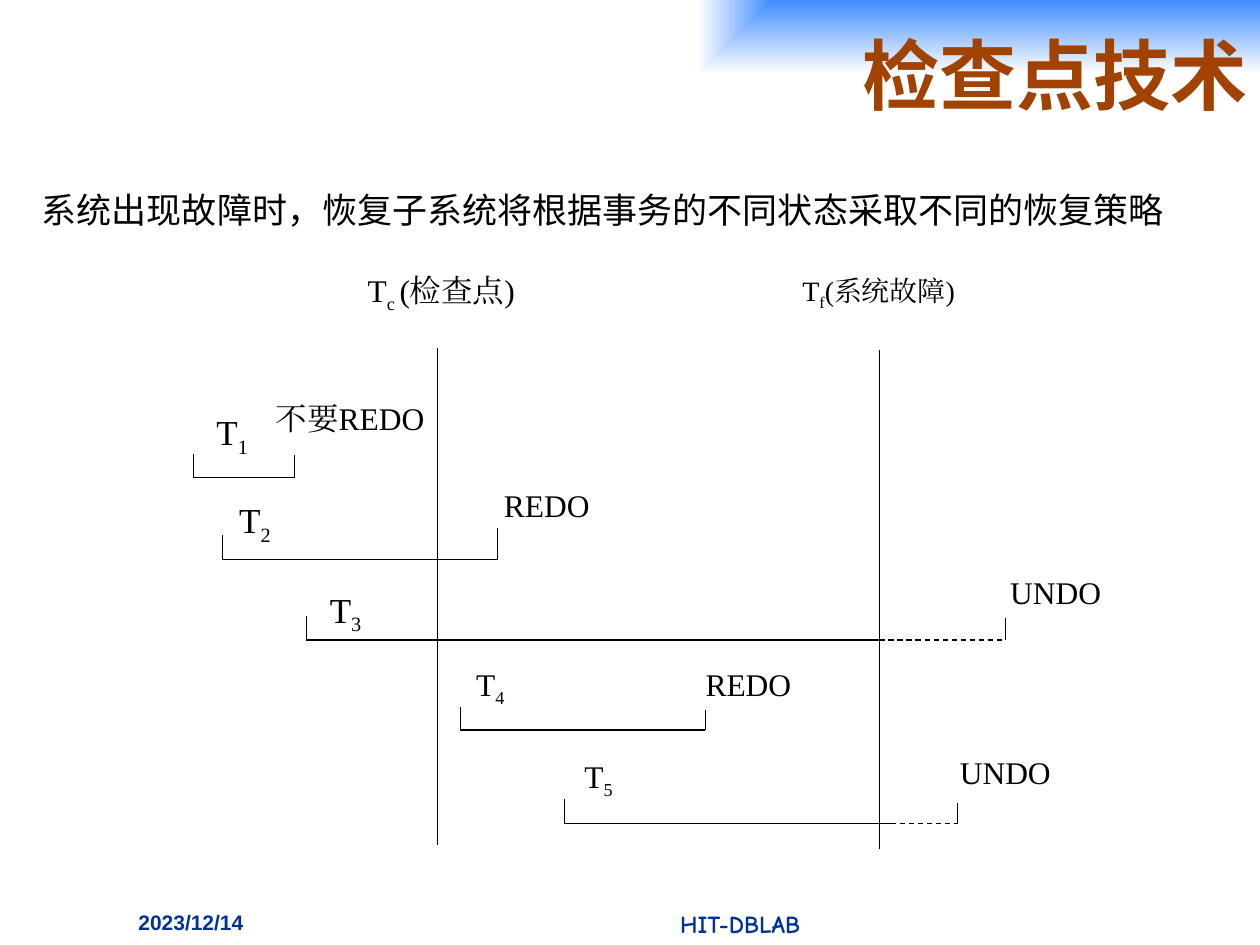
from lxml import etree
from pptx import Presentation
from pptx import util as u
from pptx.dml import color
from pptx.enum import dml, shapes, text
from pptx.oxml import ns, parse_xml

SERIF = "Times New Roman"
BLACK, BROWN, NAVY = "000000", "A24200", "003399"
ALIGN = text.PP_ALIGN

# name, start, solid end, end, baseline, start tick top, end tick top
TRANSACTIONS = [
    ("T1", 110.5, 168.2, 168.2, 273, 259.5, 260),
    ("T2", 127, 284.2, 284.2, 319.8, 305.5, 301.7),
    ("T3", 175, 502.5, 574.5, 365.8, 352, 353),
    ("T4", 263, 403, 403, 417.2, 404, 406),
    ("T5", 322.5, 509, 547.2, 470.7, 456.5, 458.6),
]

# name, left, top, width, size of the transaction labels
NAMES = [
    ("1", 116.6, 231.1, 59.8, 20),
    ("2", 129.6, 281.5, 57.6, 20),
    ("3", 181.4, 332.6, 89.3, 20),
    ("4", 265, 376.6, 89.3, 18),
    ("5", 326.9, 429.1, 89.3, 18),
]

# recovery action, left, top, width
ACTIONS = [
    ("不要REDO", 150.5, 224.6, 112.3),
    ("REDO", 280.9, 274.3, 89.3),
    ("UNDO", 570.2, 324, 79.9),
    ("REDO", 396.1, 376.6, 89.3),
    ("UNDO", 541.4, 427, 73.4),
]


def rgb(code):
    return color.RGBColor.from_string(code)


def write(frame, parts, size, font=SERIF, ink=BLACK, bold=False,
          align=ALIGN.LEFT, anchor=text.MSO_ANCHOR.TOP, wrap=True):
    """Fill a text frame; every second part is set as a subscript."""
    frame.word_wrap = wrap
    frame.auto_size = text.MSO_AUTO_SIZE.NONE
    frame.vertical_anchor = anchor
    paragraph = frame.paragraphs[0]
    paragraph.alignment = align
    for index, part in enumerate(parts):
        run = paragraph.add_run()
        run.text = part
        run.font.size = u.Pt(size)
        run.font.bold = bold
        run.font.name = font
        run.font.color.rgb = rgb(ink)
        properties = run.font._element
        etree.SubElement(properties, ns.qn("a:ea")).set("typeface", font)
        if index % 2:
            properties.set("baseline", "-25000")


def label(slide, parts, left, top, width, height, size, **style):
    box = slide.shapes.add_textbox(
        u.Pt(left), u.Pt(top), u.Pt(width), u.Pt(height))
    write(box.text_frame, parts, size, **style)


def line(slide, x1, y1, x2, y2, weight=0.75, dashed=False):
    rule = slide.shapes.add_connector(
        shapes.MSO_CONNECTOR.STRAIGHT,
        u.Pt(x1), u.Pt(y1), u.Pt(x2), u.Pt(y2))
    rule.line.color.rgb = rgb(BLACK)
    rule.line.width = u.Pt(weight)
    if dashed:
        rule.line.dash_style = dml.MSO_LINE.DASH
    etree.SubElement(rule._element.spPr, ns.qn("a:effectLst"))


def transaction(slide, start, solid_end, end, base, start_top, end_top):
    line(slide, start, base, solid_end, base)
    if end > solid_end:
        line(slide, solid_end, base, end, base, dashed=True)
    line(slide, start, start_top, start, base)
    line(slide, end, end_top, end, base)


def heading(slide, wording):
    title = slide.shapes.title
    title.left, title.top = u.Pt(77.8), u.Pt(0)
    title.width, title.height = u.Pt(642.2), u.Pt(84.2)
    write(title.text_frame, [wording], 44, font="Noto Sans CJK SC", ink=BROWN,
          bold=True, align=ALIGN.RIGHT, anchor=text.MSO_ANCHOR.MIDDLE)
    # Blue glow that spreads from the top right corner
    title._element.spPr.append(parse_xml(
        f'<a:gradFill {ns.nsdecls("a")} rotWithShape="1"><a:gsLst>'
        '<a:gs pos="0"><a:srgbClr val="3F8DFF"/></a:gs>'
        '<a:gs pos="100000"><a:srgbClr val="FFFFFF"/></a:gs></a:gsLst>'
        '<a:path path="rect"><a:fillToRect l="100000" b="100000"/></a:path>'
        '</a:gradFill>'))


def main():
    deck = Presentation()
    deck.slide_width, deck.slide_height = u.Pt(720), u.Pt(540)
    slide = deck.slides.add_slide(deck.slide_layouts[5])

    # Title and statement
    heading(slide, "检查点技术")
    label(slide, ["系统出现故障时，恢复子系统将根据事务的不同状态采取不同的恢复策略"],
          11.5, 104.4, 666, 31.7, 20, font="Noto Sans CJK JP",
          align=ALIGN.CENTER, wrap=False)

    # Checkpoint and failure times
    line(slide, 249.8, 198.7, 249.8, 483.1, weight=0.5)
    line(slide, 502.8, 200.2, 502.8, 485.3, weight=0.5)
    label(slide, ["T", "c ", "(检查点)"], 203, 151.2, 112.3, 52.6, 18)
    label(slide, ["T", "f", "(系统故障)"], 451.4, 152.6, 112.3, 52.6, 16)

    # Transactions with their names and recovery actions
    for _, *span in TRANSACTIONS:
        transaction(slide, *span)
    for number, left, top, width, size in NAMES:
        label(slide, ["T", number], left, top, width, 52.6, size)
    for action, left, top, width in ACTIONS:
        label(slide, [action], left, top, width, 52.6, 18)

    # Footer
    label(slide, ["2023/12/14"], 72, 516.2, 126, 23.8, 12,
          font="Arial", ink=NAVY, bold=True)
    label(slide, ["HIT-DBLAB"], 252, 516.2, 342, 23.8, 14,
          font="Comic Neue", ink=NAVY, bold=True, align=ALIGN.CENTER)

    deck.save("out.pptx")


if __name__ == "__main__":
    main()
